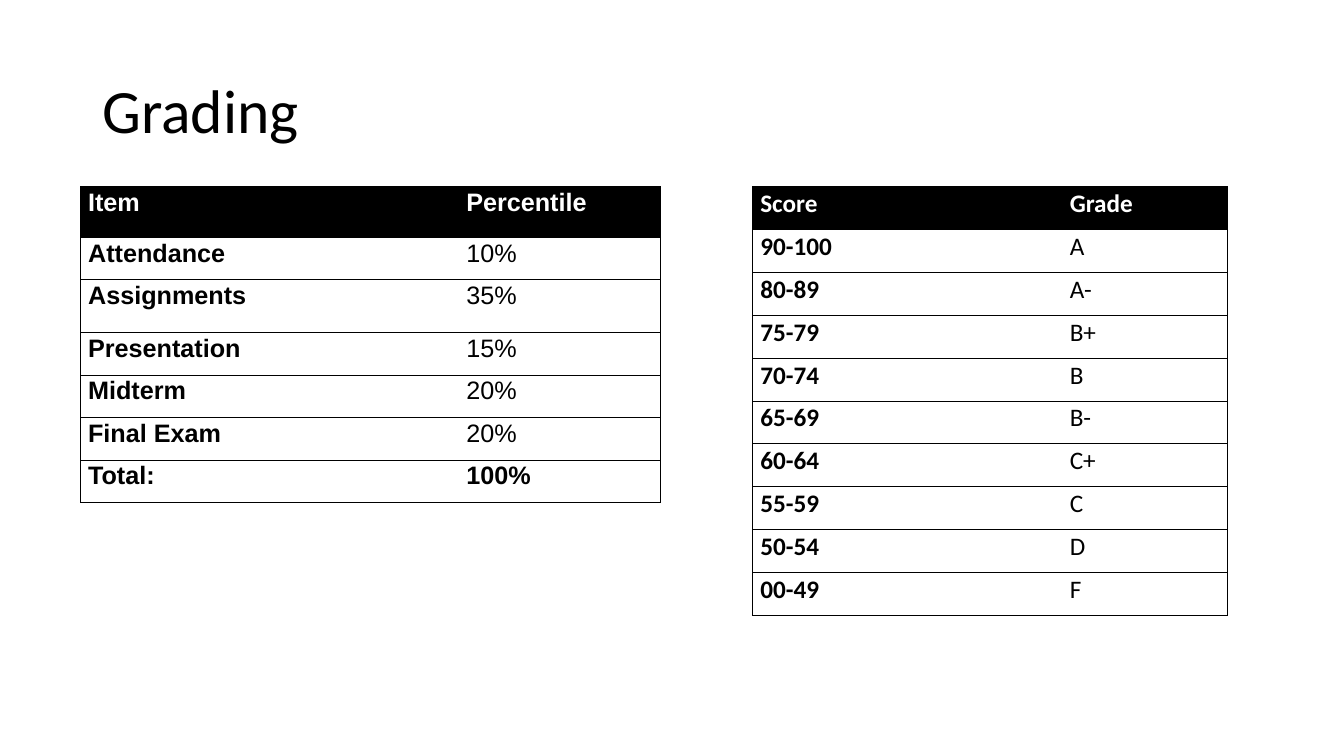
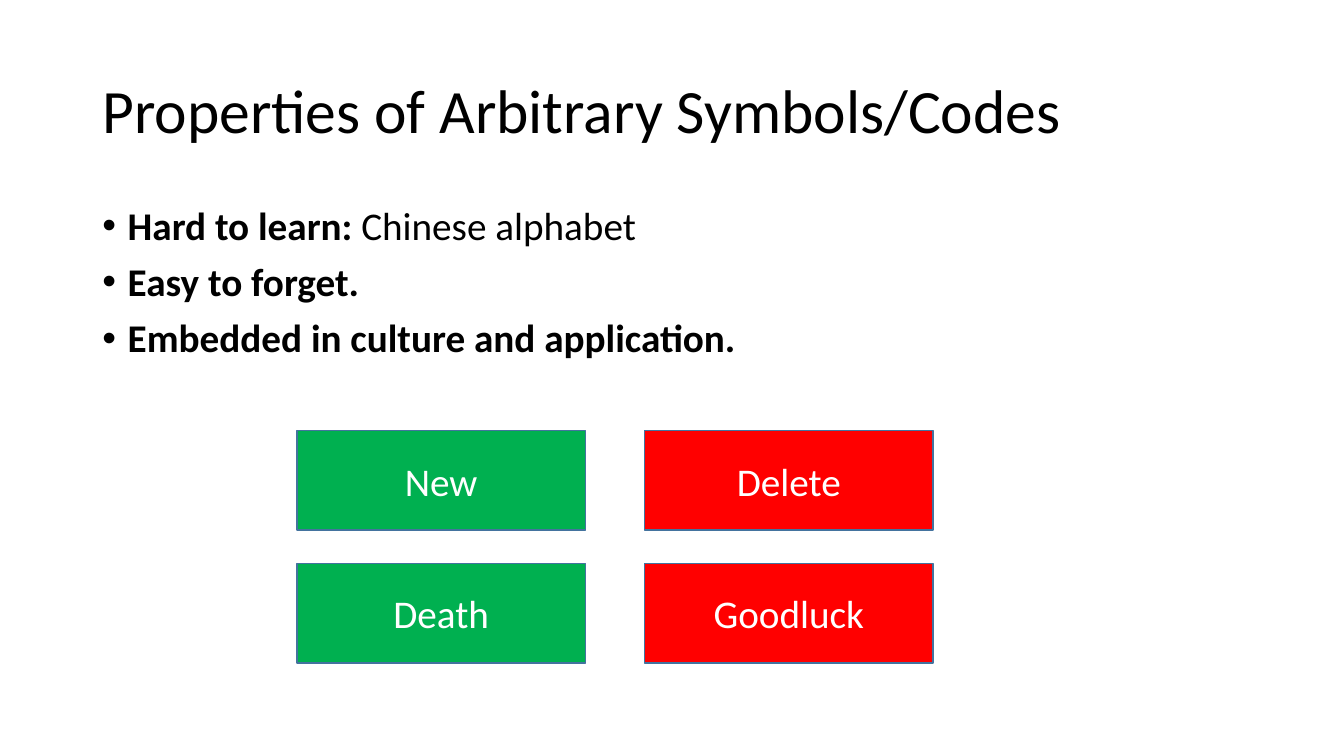
import dataclasses
import typing

import lxml.etree
import pptx
import pptx.dml.color
import pptx.enum.shapes
import pptx.enum.text
import pptx.oxml.ns
import pptx.util

Cm = pptx.util.Cm
Pt = pptx.util.Pt

BLACK = "000000"
WHITE = "FFFFFF"
GREEN = "00B050"
RED = "FF0000"
OUTLINE = "43739E"


@dataclasses.dataclass(frozen=True)
class Box:
    left: float
    top: float
    width: float
    height: float

    def lengths(self) -> tuple:
        return Cm(self.left), Cm(self.top), Cm(self.width), Cm(self.height)


@dataclasses.dataclass(frozen=True)
class TableSpec:
    left: float
    column_widths: tuple[float, ...]
    row_heights: tuple[float, ...]
    rows: tuple[tuple[str, str], ...]
    font: str
    bold_last_row: bool = False


@dataclasses.dataclass(frozen=True)
class Button:
    label: str
    column: int
    row: int


TITLE_BOX = Box(2.33, 1.01, 29.21, 3.68)
BULLETS_BOX = Box(2.33, 5.07, 29.21, 12.09)
TABLE_TOP = 4.7

WEIGHTS = TableSpec(
    left=2.03,
    column_widths=(9.53, 5.08),
    row_heights=(1.28, 1.07, 1.33, 1.07, 1.07, 1.07, 1.07),
    rows=(
        ("Item", "Percentile"),
        ("Attendance", "10%"),
        ("Assignments", "35%"),
        ("Presentation", "15%"),
        ("Midterm", "20%"),
        ("Final Exam", "20%"),
        ("Total:", "100%"),
    ),
    font="Arial",
    bold_last_row=True,
)
GRADES = TableSpec(
    left=18.97,
    column_widths=(7.8, 4.17),
    row_heights=(1.08,) * 10,
    rows=(
        ("Score", "Grade"),
        ("90-100", "A"),
        ("80-89", "A-"),
        ("75-79", "B+"),
        ("70-74", "B"),
        ("65-69", "B-"),
        ("60-64", "C+"),
        ("55-59", "C"),
        ("50-54", "D"),
        ("00-49", "F"),
    ),
    font="Calibri",
)

BULLETS = (
    ("Hard to learn: ", "Chinese alphabet"),
    ("Easy to forget.", ""),
    ("Embedded in culture and application.", ""),
)

FIRST_BUTTON = Box(7.49, 10.85, 7.26, 2.51)
BUTTON_PITCH = (8.76, 3.35)
BUTTON_COLORS = (GREEN, RED)
BUTTONS = (
    Button("New", 0, 0),
    Button("Delete", 1, 0),
    Button("Death", 0, 1),
    Button("Goodluck", 1, 1),
)


def rgb(color: str) -> pptx.dml.color.RGBColor:
    return pptx.dml.color.RGBColor.from_string(color)


def add_text(paragraph, text: str, *, size: float, font: str = "Calibri",
             color: str = BLACK, bold: bool = False) -> None:
    run = paragraph.add_run()
    run.text = text
    run.font.size = Pt(size)
    run.font.name = font
    run.font.bold = bold
    run.font.color.rgb = rgb(color)


def add_text_frame(slide, box: Box):
    frame = slide.shapes.add_textbox(*box.lengths()).text_frame
    frame.word_wrap = True
    return frame


def add_titled_slide(presentation, title: str):
    slide = presentation.slides.add_slide(presentation.slide_layouts[6])
    frame = add_text_frame(slide, TITLE_BOX)
    frame.vertical_anchor = pptx.enum.text.MSO_ANCHOR.MIDDLE
    paragraph = frame.paragraphs[0]
    paragraph.line_spacing = 0.9
    add_text(paragraph, title, size=44)
    return slide


def add_element(parent, tag: str, **attributes: str):
    element = lxml.etree.SubElement(parent, pptx.oxml.ns.qn(tag))
    for name, value in attributes.items():
        element.set(name, value)
    return element


def set_borders(cell, visible: typing.Collection[str]) -> None:
    properties = cell._tc.get_or_add_tcPr()
    for side in "LRTB":
        line = add_element(properties, f"a:ln{side}", w=str(Pt(0.5)))
        if side in visible:
            fill = add_element(line, "a:solidFill")
            add_element(fill, "a:srgbClr", val=BLACK)
        else:
            add_element(line, "a:noFill")


def format_cell(cell, text: str, *, font: str, header: bool, bold: bool, sides: str) -> None:
    cell.margin_left = cell.margin_right = Cm(0.19)
    cell.margin_top = cell.margin_bottom = Cm(0)
    set_borders(cell, sides)
    if header:
        cell.fill.solid()
        cell.fill.fore_color.rgb = rgb(BLACK)
    else:
        cell.fill.background()
    paragraph = cell.text_frame.paragraphs[0]
    paragraph.line_spacing = 1.07
    add_text(paragraph, text, size=18, font=font, bold=bold,
             color=WHITE if header else BLACK)


def add_table(slide, table_spec: TableSpec) -> None:
    box = Box(table_spec.left, TABLE_TOP,
              sum(table_spec.column_widths), sum(table_spec.row_heights))
    table = slide.shapes.add_table(
        len(table_spec.rows), len(table_spec.column_widths), *box.lengths()).table
    table.first_row = table.horz_banding = False
    for column, width in zip(table.columns, table_spec.column_widths):
        column.width = Cm(width)
    for row, height in zip(table.rows, table_spec.row_heights):
        row.height = Cm(height)
    last_row = len(table_spec.rows) - 1
    for row_index, texts in enumerate(table_spec.rows):
        header = row_index == 0
        bold_row = header or (table_spec.bold_last_row and row_index == last_row)
        for column_index, text in enumerate(texts):
            first_column = column_index == 0
            format_cell(
                table.cell(row_index, column_index), text, font=table_spec.font,
                header=header, bold=first_column or bold_row,
                sides="LTB" if first_column else "RTB")


def add_bullets(slide) -> None:
    frame = add_text_frame(slide, BULLETS_BOX)
    for index, (lead, detail) in enumerate(BULLETS):
        paragraph = frame.add_paragraph() if index else frame.paragraphs[0]
        properties = paragraph._p.get_or_add_pPr()
        properties.set("marL", str(Cm(0.64)))
        properties.set("indent", str(-Cm(0.64)))
        add_element(properties, "a:buFont", typeface="Arial")
        add_element(properties, "a:buChar", char="•")
        paragraph.line_spacing = 0.9
        if index:
            paragraph.space_before = Pt(10)
        add_text(paragraph, lead, size=28, bold=True)
        if detail:
            add_text(paragraph, detail, size=28)


def add_button(slide, button: Button) -> None:
    box = dataclasses.replace(
        FIRST_BUTTON,
        left=FIRST_BUTTON.left + button.column * BUTTON_PITCH[0],
        top=FIRST_BUTTON.top + button.row * BUTTON_PITCH[1])
    shape = slide.shapes.add_shape(
        pptx.enum.shapes.MSO_SHAPE.RECTANGLE, *box.lengths())
    shape.shadow.inherit = False
    shape.fill.solid()
    shape.fill.fore_color.rgb = rgb(BUTTON_COLORS[button.column])
    shape.line.color.rgb = rgb(OUTLINE)
    shape.line.width = Pt(1)
    shape.text_frame.vertical_anchor = pptx.enum.text.MSO_ANCHOR.MIDDLE
    paragraph = shape.text_frame.paragraphs[0]
    paragraph.alignment = pptx.enum.text.PP_ALIGN.CENTER
    add_text(paragraph, button.label, size=28, color=WHITE)


def main() -> None:
    presentation = pptx.Presentation()
    presentation.slide_width = Cm(33.87)
    presentation.slide_height = Cm(19.05)

    grading = add_titled_slide(presentation, "Grading")
    for table_spec in (WEIGHTS, GRADES):
        add_table(grading, table_spec)

    symbols = add_titled_slide(presentation, "Properties of Arbitrary Symbols/Codes")
    add_bullets(symbols)
    for button in BUTTONS:
        add_button(symbols, button)

    presentation.save("out.pptx")


if __name__ == "__main__":
    main()
